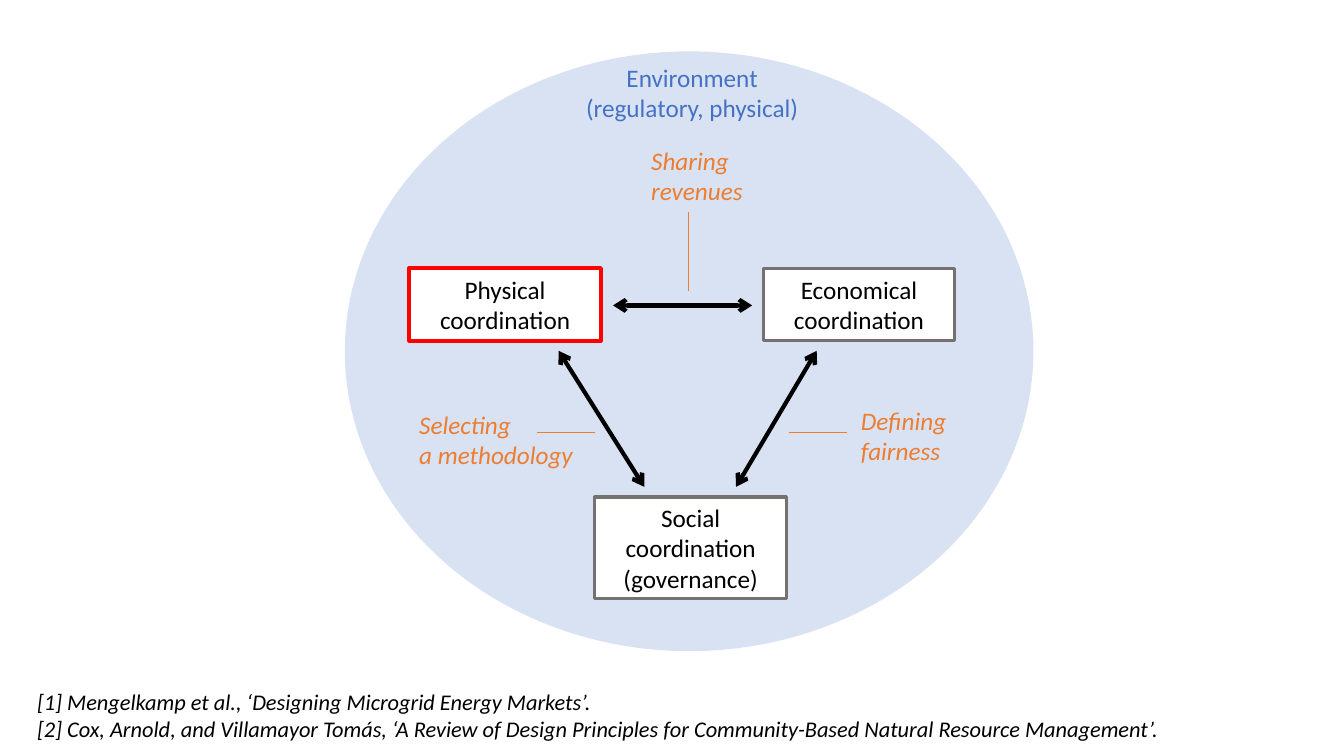
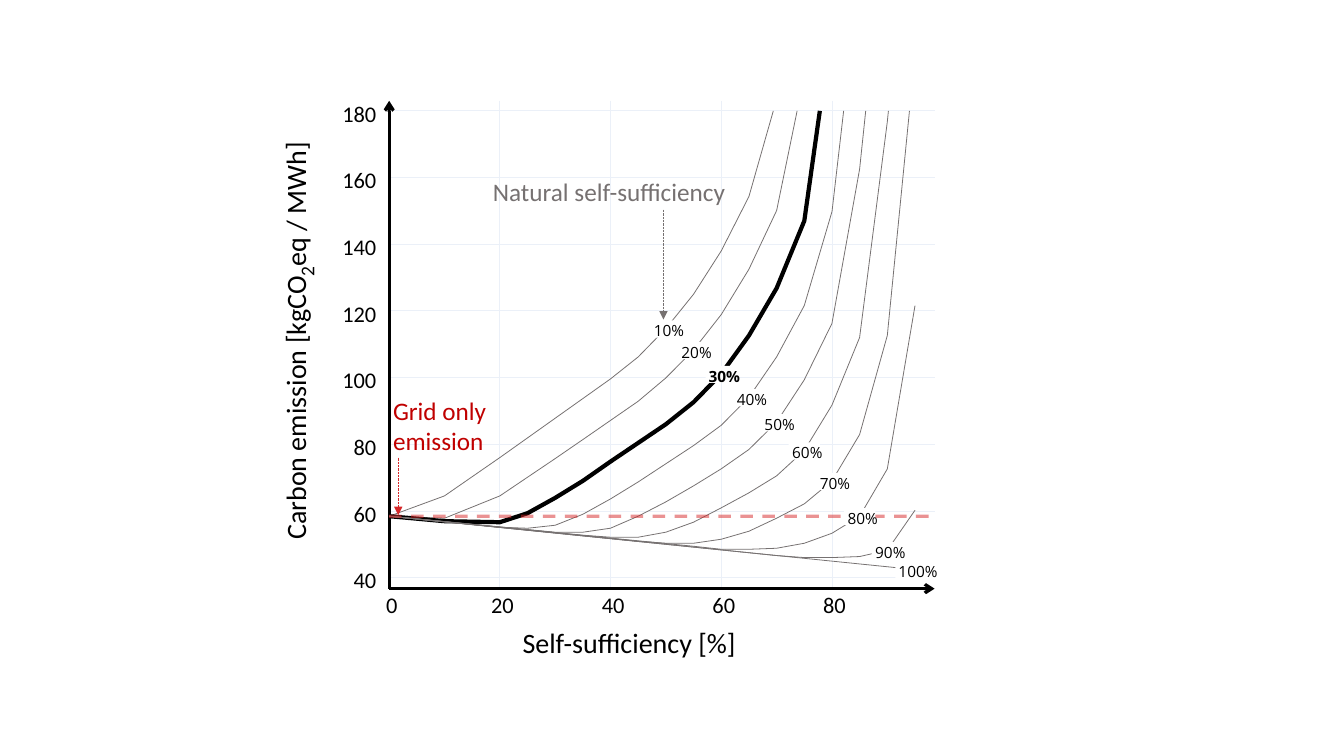
"""Build two slides: the coordination triangle and the carbon emission diagram."""
from dataclasses import dataclass
from typing import Optional

from lxml import etree
from pptx import Presentation
from pptx.dml.color import RGBColor
from pptx.enum.dml import MSO_LINE
from pptx.enum.shapes import MSO_CONNECTOR, MSO_SHAPE
from pptx.enum.text import MSO_ANCHOR, PP_ALIGN
from pptx.oxml.ns import qn
from pptx.util import Inches, Pt

LEFT, CENTER, RIGHT = PP_ALIGN.LEFT, PP_ALIGN.CENTER, PP_ALIGN.RIGHT
TOP, MIDDLE = MSO_ANCHOR.TOP, MSO_ANCHOR.MIDDLE
DASH, DOT = MSO_LINE.DASH, MSO_LINE.ROUND_DOT
OVAL, RECT = MSO_SHAPE.OVAL, MSO_SHAPE.RECTANGLE
STRAIGHT = MSO_CONNECTOR.STRAIGHT

BLACK = RGBColor(0x00, 0x00, 0x00)
WHITE = RGBColor(0xFF, 0xFF, 0xFF)
BLUE = RGBColor(0x44, 0x72, 0xC4)
ORANGE = RGBColor(0xED, 0x7D, 0x31)
GREY = RGBColor(0x76, 0x71, 0x71)
RED = RGBColor(0xFF, 0x00, 0x00)
DARK_RED = RGBColor(0xC0, 0x00, 0x00)
GRID_RED = RGBColor(0xD6, 0x27, 0x28)
GRID_BLUE = RGBColor(0xEB, 0xF0, 0xF8)

BODY_FONT, LABEL_FONT = "Calibri", "Open Sans"

PLOT_LEFT, PLOT_RIGHT = 3.86, 9.27
PLOT_TOP, PLOT_BOTTOM = 1.0, 5.84
X_INCH, Y_INCH = 5.49 / 100, 4.63 / 140
Y_MAX, GRID_ONLY = 180, 58.4


@dataclass(frozen=True)
class Style:
    """Look of a piece of text."""
    size: float = 18
    color: RGBColor = BLACK
    italic: bool = False
    bold: bool = False
    font: str = BODY_FONT
    align: PP_ALIGN = LEFT


@dataclass(frozen=True)
class Box:
    """Place and text of a text box or node."""
    left: float
    top: float
    width: float
    height: float
    lines: tuple[str, ...]
    style: Style = Style()
    wrap: bool = True
    border: RGBColor = GREY
    border_width: float = 2.25


@dataclass(frozen=True)
class Link:
    """Straight line between two points."""
    start: tuple[float, float]
    end: tuple[float, float]
    color: RGBColor = BLACK
    width: float = 3
    head: Optional[str] = None
    tail: Optional[str] = None
    dash: Optional[MSO_LINE] = None
    alpha: Optional[int] = None


@dataclass(frozen=True)
class Curve:
    """Emission by self-sufficiency for one natural self-sufficiency."""
    share: int
    points: tuple[tuple[float, float], ...]


NOTE = Style(color=ORANGE, italic=True)
NODE = Style(align=CENTER)
AXIS_TITLE = Style(20, align=CENTER)

NODES = (
    Box(4.06, 2.66, 1.9, 0.72, ("Physical", "coordination"), NODE, border=RED, border_width=3),
    Box(5.9, 4.93, 1.9, 1.01, ("Social coordination", "(governance)"), NODE),
    Box(7.57, 2.66, 1.9, 0.72, ("Economical coordination",), NODE),
)
COORDINATION_LINKS = tuple(Link(a, b, head="arrow", tail="arrow") for a, b in (
    ((6.08, 3.03), (7.46, 3.03)),
    ((8.1, 3.48), (7.3, 4.83)),
    ((5.54, 3.48), (6.39, 4.83)),
)) + tuple(Link(a, b, ORANGE, 0.5) for a, b in (
    ((7.83, 4.29), (8.4, 4.29)),
    ((6.83, 2.89), (6.83, 2.1)),
    ((5.33, 4.29), (5.9, 4.29)),
))
COORDINATION_TEXTS = (
    Box(8.44, 3.97, 1.79, 1.01, ("Defining fairness",), NOTE),
    Box(6.36, 1.39, 1.38, 0.71, ("Sharing", "revenues"), NOTE),
    Box(4.06, 4.01, 2.03, 0.71, ("Selecting", "a methodology"), NOTE),
    Box(5.33, 0.57, 3.07, 0.71, ("Environment", "(regulatory, physical)"),
        Style(color=BLUE, align=CENTER)),
    Box(0.27, 6.78, 11.47, 0.64, (
        "[1] Mengelkamp et al., ‘Designing Microgrid Energy Markets’.",
        "[2] Cox, Arnold, and Villamayor Tomás, ‘A Review of Design Principles for "
        "Community-Based Natural Resource Management’.",
    ), Style(16, italic=True), wrap=False),
)

CURVES = (
    Curve(10, ((10, 64.5), (20, 76), (40, 99.6), (45, 106.2), (50, 114.7), (55, 125),
               (60, 138), (65, 154.3), (69.4, 180))),
    Curve(20, ((10, 57.8), (20, 64.5), (30, 75.7), (35, 81.4), (45, 92.9), (50, 99.9),
               (55, 108.3), (60, 118.9), (65, 132.5), (70, 150.1), (73.7, 180))),
    Curve(30, ((10, 56.9), (20, 56.6), (25, 59.3), (30, 63.9), (35, 69), (40, 74.8),
               (50, 86), (55, 92.6), (60, 101.1), (65, 112.6), (70, 126.8), (75, 147),
               (77.8, 180))),
    Curve(40, ((20, 55.1), (25, 54.8), (30, 55.7), (35, 59), (40, 63.6), (45, 68.7),
               (55, 79.6), (60, 85.7), (65, 94.1), (70, 106.2), (75, 121.6), (80, 149.8),
               (82.1, 180))),
    Curve(50, ((30, 53.6), (35, 53.6), (40, 54.8), (45, 58.4), (50, 62.7), (55, 67.5),
               (60, 72.6), (65, 78.4), (70, 86.6), (75, 99.3), (80, 116.2), (85, 162.5),
               (86.1, 180))),
    Curve(60, ((35, 52.7), (40, 52.1), (45, 52.1), (50, 53.6), (55, 56.6), (60, 60.9),
               (65, 65.4), (70, 70.5), (75, 78.1), (80, 91.7), (85, 112), (90, 176.7),
               (90.2, 180))),
    Curve(70, ((45, 50.9), (50, 50.3), (55, 50.3), (60, 51.5), (65, 53.9), (70, 57.8),
               (75, 62.1), (80, 69), (85, 82.9), (90, 112.6), (94, 180))),
    Curve(80, ((55, 49.4), (60, 48.5), (65, 48.5), (70, 48.8), (75, 50.3), (80, 53.3),
               (85, 58.4), (90, 72.6), (95, 121.6))),
    Curve(90, ((70, 46.6), (75, 46), (80, 46), (85, 46.3), (90, 48.2), (95, 60.2))),
    Curve(100, ((95, 42.4),)),
)


def x_at(percent: float) -> float:
    """Return the horizontal place of a self-sufficiency."""
    return PLOT_LEFT + percent * X_INCH


def y_at(emission: float) -> float:
    """Return the vertical place of an emission."""
    return 1.1 + (Y_MAX - emission) * Y_INCH


def set_alpha(element, percent: int) -> None:
    """Make the first colour of an element partly transparent."""
    color = element.find(".//" + qn("a:srgbClr"))
    etree.SubElement(color, qn("a:alpha")).set("val", str(percent * 1000))


def add_run(p, text: str, style: Style):
    """Append a styled run to a paragraph."""
    r = p.add_run()
    r.text = text
    font = r.font
    font.name, font.size, font.color.rgb = style.font, Pt(style.size), style.color
    font.italic, font.bold = style.italic, style.bold
    return r


def write(tf, lines: tuple[str, ...], style: Style) -> None:
    """Write one paragraph per line."""
    for i, line in enumerate(lines):
        p = tf.add_paragraph() if i else tf.paragraphs[0]
        p.alignment = style.align
        add_run(p, line, style)


def add_text(s, box: Box):
    """Add a text box."""
    sp = s.shapes.add_textbox(*map(Inches, (box.left, box.top, box.width, box.height)))
    tf = sp.text_frame
    tf.word_wrap, tf.vertical_anchor = box.wrap, TOP
    write(tf, box.lines, box.style)
    return sp


def add_shape(s, kind: MSO_SHAPE, left: float, top: float, width: float, height: float,
              fill: RGBColor):
    """Add a plain filled shape without outline."""
    sp = s.shapes.add_shape(kind, *map(Inches, (left, top, width, height)))
    sp.shadow.inherit = False
    sp.fill.solid()
    sp.fill.fore_color.rgb = fill
    sp.line.fill.background()
    return sp


def add_node(s, box: Box) -> None:
    """Add a bordered box with centred text."""
    sp = add_shape(s, RECT, box.left, box.top, box.width, box.height, WHITE)
    sp.line.color.rgb, sp.line.width = box.border, Pt(box.border_width)
    tf = sp.text_frame
    tf.word_wrap, tf.vertical_anchor = True, MIDDLE
    write(tf, box.lines, box.style)


def add_link(s, link: Link) -> None:
    """Add a line with optional dash, arrowheads and transparency."""
    sp = s.shapes.add_connector(STRAIGHT, *map(Inches, (*link.start, *link.end)))
    sp.line.color.rgb, sp.line.width = link.color, Pt(link.width)
    if link.dash:
        sp.line.dash_style = link.dash
    ln = sp.element.spPr.find(qn("a:ln"))
    for tag, kind in (("a:headEnd", link.head), ("a:tailEnd", link.tail)):
        if kind:
            etree.SubElement(ln, qn(tag)).set("type", kind)
    if link.alpha:
        set_alpha(ln, link.alpha)
    etree.SubElement(sp.element.spPr, qn("a:effectLst"))


def add_curve(s, curve: Curve) -> None:
    """Draw one emission curve from the grid-only level."""
    points = [(Inches(x_at(x)), Inches(y_at(y))) for x, y in ((0, GRID_ONLY), *curve.points)]
    builder = s.shapes.build_freeform(*points[0], scale=1.0)
    builder.add_line_segments(points[1:], close=False)
    sp = builder.convert_to_shape()
    sp.shadow.inherit = False
    sp.fill.background()
    main_curve = curve.share == 30
    sp.line.color.rgb, sp.line.width = (BLACK, Pt(3)) if main_curve else (GREY, Pt(0.58))


def add_curve_label(s, curve: Curve) -> None:
    """Label a curve on a white patch, each one step further right."""
    percent = 45 + curve.share // 2
    x, y = x_at(percent), y_at(dict(curve.points)[percent])
    width = 0.39 if curve.share == 100 else 0.31
    add_shape(s, RECT, x - width / 2, y - 0.08, width, 0.17, WHITE)
    style = Style(11, bold=curve.share == 30, font=LABEL_FONT, align=CENTER)
    add_text(s, Box(x - width / 2 - 0.07, y - 0.12, width + 0.2, 0.29,
                    (f"{curve.share}%",), style, False))


def build_coordination(s) -> None:
    """Draw the three coordinations within their environment."""
    set_alpha(add_shape(s, OVAL, 3.42, 0.51, 6.83, 5.95, BLUE).element.spPr, 20)
    for node in NODES:
        add_node(s, node)
    for link in COORDINATION_LINKS:
        add_link(s, link)
    for box in COORDINATION_TEXTS:
        add_text(s, box)


def build_emission(s) -> None:
    """Draw the emission curves with axes and notes."""
    for x in range(20, 81, 20):
        add_link(s, Link((x_at(x), PLOT_TOP), (x_at(x), PLOT_BOTTOM), GRID_BLUE, 0.58))
    for y in range(40, 181, 20):
        add_link(s, Link((PLOT_LEFT, y_at(y)), (PLOT_RIGHT, y_at(y)), GRID_BLUE, 0.58))
    origin = (PLOT_LEFT, PLOT_BOTTOM)
    add_link(s, Link(origin, (PLOT_LEFT, PLOT_TOP), width=2.25, tail="arrow"))
    for curve in CURVES:
        add_curve(s, curve)
    add_link(s, Link(origin, (PLOT_RIGHT, PLOT_BOTTOM), width=2.25, tail="arrow"))
    for x in range(0, 81, 20):
        add_text(s, Box(x_at(x) - 0.19, 5.82, 0.43, 0.37, (str(x),),
                        Style(16, align=CENTER), False))
    for y in range(40, 181, 20):
        add_text(s, Box(3.29, y_at(y) - 0.16, 0.54, 0.37, (str(y),),
                        Style(16, align=RIGHT), False))
    level = y_at(GRID_ONLY)
    add_link(s, Link((PLOT_LEFT, level), (PLOT_RIGHT, level), GRID_RED, 2.25,
                     dash=DASH, alpha=50))
    for curve in CURVES:
        add_curve_label(s, curve)

    sp = add_text(s, Box(0.83, 3.16, 4.2, 0.44, ("Carbon emission [kgCO",), AXIS_TITLE, False))
    sp.rotation = 270
    sp.text_frame.vertical_anchor = MIDDLE
    p = sp.text_frame.paragraphs[0]
    r = add_run(p, "2", Style(24))
    r._r.get_or_add_rPr().set("baseline", "-25000")
    add_run(p, "eq / MWh]", AXIS_TITLE)
    add_text(s, Box(5.07, 6.16, 2.34, 0.44, ("Self-sufficiency [%]",), AXIS_TITLE, False))
    add_text(s, Box(3.8, 3.87, 1.42, 0.71, ("Grid only emission",), Style(color=DARK_RED)))
    add_link(s, Link((3.95, 4.54), (3.95, 5.11), GRID_RED, 0.5, tail="triangle", dash=DOT))
    add_text(s, Box(4.79, 1.7, 2.84, 0.4, ("Natural self-sufficiency",), Style(color=GREY)))
    add_link(s, Link((6.58, 2.08), (6.58, 3.17), GREY, 0.5, tail="triangle", dash=DOT))


def main() -> None:
    """Build and save the presentation."""
    prs = Presentation()
    prs.slide_width, prs.slide_height = Inches(13.33), Inches(7.5)
    for build in (build_coordination, build_emission):
        build(prs.slides.add_slide(prs.slide_layouts[6]))
    prs.save("out.pptx")


if __name__ == "__main__":
    main()
